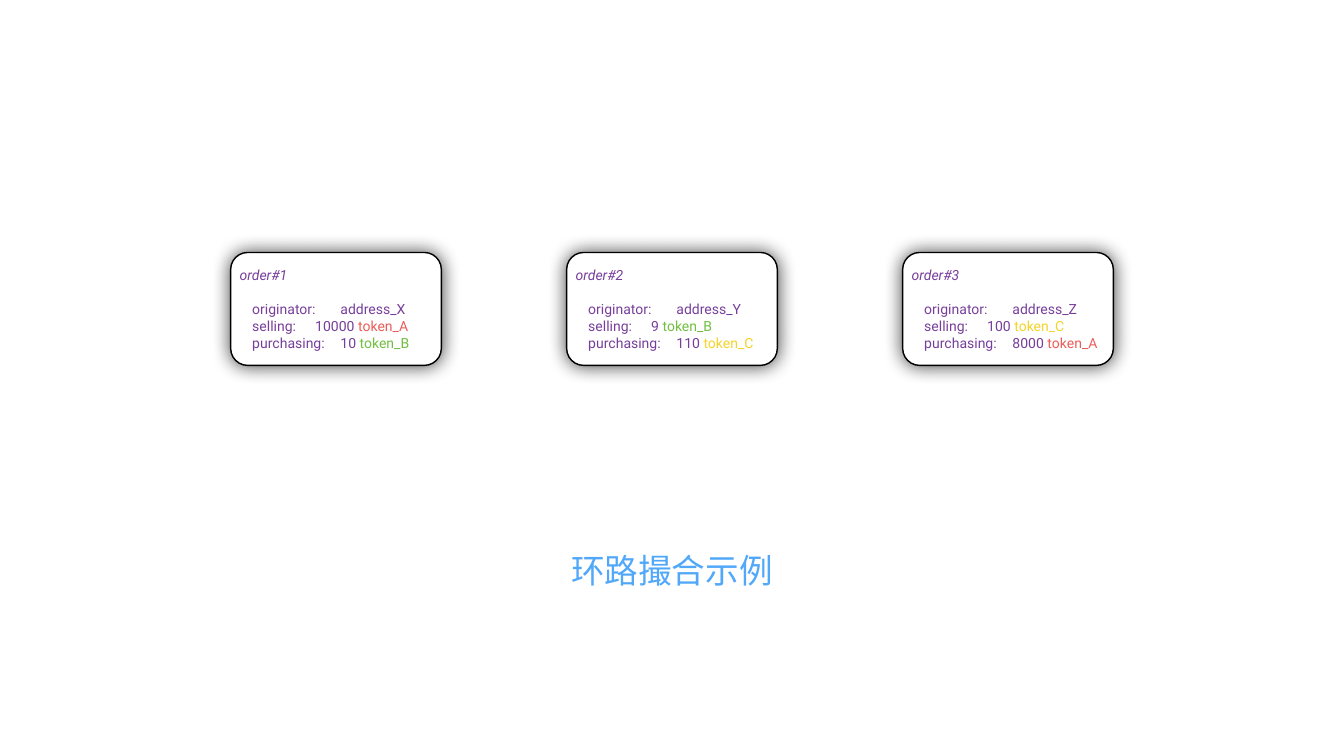
import dataclasses

import lxml.etree
import pptx
import pptx.dml.color
import pptx.enum.shapes
import pptx.enum.text
import pptx.oxml.ns
import pptx.util

WIDTH, HEIGHT = 26.67, 15
CARD_WIDTH, CARD_HEIGHT, CARD_TOP = 4.18, 2.24, 5.01
TITLE_WIDTH, TITLE_HEIGHT, TITLE_TOP = 4.17, 1.09, 10.76
INSET, LABEL_INDENT, VALUE_TAB = 0.08, 0.25, 1.75
FONT = "Roboto"
PURPLE, BLUE, BLACK, WHITE = "773F9B", "51A8F9", "000000", "FFFFFF"
TOKEN_COLORS = {"token_A": "EC5C57", "token_B": "70BF41", "token_C": "F5D328"}


@dataclasses.dataclass
class Order:
    name: str
    originator: str
    selling: tuple[str, str]
    purchasing: tuple[str, str]


ORDERS = [
    Order("order#1", "address_X", ("10000", "token_A"), ("10", "token_B")),
    Order("order#2", "address_Y", ("9", "token_B"), ("110", "token_C")),
    Order("order#3", "address_Z", ("100", "token_C"), ("8000", "token_A")),
]


def rgb(color: str) -> pptx.dml.color.RGBColor:
    return pptx.dml.color.RGBColor.from_string(color)


def set_font(font, size: float, color: str) -> None:
    font.name = FONT
    font.size = pptx.util.Pt(size)
    font.color.rgb = rgb(color)


def set_frame(frame) -> None:
    frame.vertical_anchor = pptx.enum.text.MSO_ANCHOR.MIDDLE
    frame.margin_left = frame.margin_right = pptx.util.Inches(INSET)
    frame.margin_top = frame.margin_bottom = pptx.util.Inches(INSET)


def add_element(parent, tag: str, **attributes: str):
    return lxml.etree.SubElement(parent, pptx.oxml.ns.qn(tag), attributes)


def add_glow_shadow(shape, blur: float, opacity: int) -> None:
    """Put a soft shadow evenly around the shape."""
    shape.shadow.inherit = False
    effects = shape._element.spPr.find(pptx.oxml.ns.qn("a:effectLst"))
    shadow = add_element(effects, "a:outerShdw", blurRad=str(pptx.util.Pt(blur)),
                         dist="0", dir="0", rotWithShape="0")
    color = add_element(shadow, "a:srgbClr", val=BLACK)
    add_element(color, "a:alpha", val=str(opacity * 1000))


def add_field(frame, label: str, value: str, token: str = ""):
    """Add an indented line with its value at the tab stop."""
    paragraph = frame.add_paragraph()
    paragraph.alignment = pptx.enum.text.PP_ALIGN.LEFT
    set_font(paragraph.font, 20, PURPLE)
    properties = paragraph._p.get_or_add_pPr()
    properties.set("marL", "0")
    properties.set("indent", str(pptx.util.Inches(LABEL_INDENT)))
    tabs = lxml.etree.Element(pptx.oxml.ns.qn("a:tabLst"))
    add_element(tabs, "a:tab", pos=str(pptx.util.Inches(VALUE_TAB)), algn="l")
    properties.find(pptx.oxml.ns.qn("a:defRPr")).addprevious(tabs)

    texts = [(f"{label}:\t{value}", PURPLE)]
    if token:
        texts = [(f"{label}:\t{value} ", PURPLE), (token, TOKEN_COLORS[token])]
    for text, color in texts:
        run = paragraph.add_run()
        run.text = text
        set_font(run.font, 20, color)
    return paragraph


def add_order_card(slide, order: Order, center: float) -> None:
    shape = slide.shapes.add_shape(
        pptx.enum.shapes.MSO_SHAPE.ROUNDED_RECTANGLE,
        pptx.util.Inches(center - CARD_WIDTH / 2), pptx.util.Inches(CARD_TOP),
        pptx.util.Inches(CARD_WIDTH), pptx.util.Inches(CARD_HEIGHT))
    shape.adjustments[0] = 0.15
    shape.fill.solid()
    shape.fill.fore_color.rgb = rgb(WHITE)
    shape.line.color.rgb = rgb(BLACK)
    shape.line.width = pptx.util.Pt(2)
    add_glow_shadow(shape, blur=28, opacity=75)

    frame = shape.text_frame
    frame.word_wrap = True
    set_frame(frame)
    heading = frame.paragraphs[0]
    heading.alignment = pptx.enum.text.PP_ALIGN.LEFT
    run = heading.add_run()
    run.text = order.name
    set_font(run.font, 20, PURPLE)
    run.font.italic = True

    first_field = add_field(frame, "originator", order.originator)
    first_field.space_before = pptx.util.Pt(25)
    add_field(frame, "selling", *order.selling)
    add_field(frame, "purchasing", *order.purchasing)


def format_title(title, text: str) -> None:
    title.left = pptx.util.Inches((WIDTH - TITLE_WIDTH) / 2)
    title.top = pptx.util.Inches(TITLE_TOP)
    title.width = pptx.util.Inches(TITLE_WIDTH)
    title.height = pptx.util.Inches(TITLE_HEIGHT)
    frame = title.text_frame
    frame.text = text
    frame.word_wrap = False
    frame.auto_size = pptx.enum.text.MSO_AUTO_SIZE.SHAPE_TO_FIT_TEXT
    set_frame(frame)
    paragraph = frame.paragraphs[0]
    paragraph.alignment = pptx.enum.text.PP_ALIGN.CENTER
    set_font(paragraph.runs[0].font, 48, BLUE)


def main() -> None:
    presentation = pptx.Presentation()
    presentation.slide_width = pptx.util.Inches(WIDTH)
    presentation.slide_height = pptx.util.Inches(HEIGHT)
    slide = presentation.slides.add_slide(presentation.slide_layouts[5])

    # Cards, centred on equal divisions of the slide width
    for number, order in enumerate(ORDERS, start=1):
        add_order_card(slide, order, WIDTH * number / (len(ORDERS) + 1))

    # Title below the cards
    format_title(slide.shapes.title, "环路撮合示例")
    presentation.save("out.pptx")


if __name__ == "__main__":
    main()
